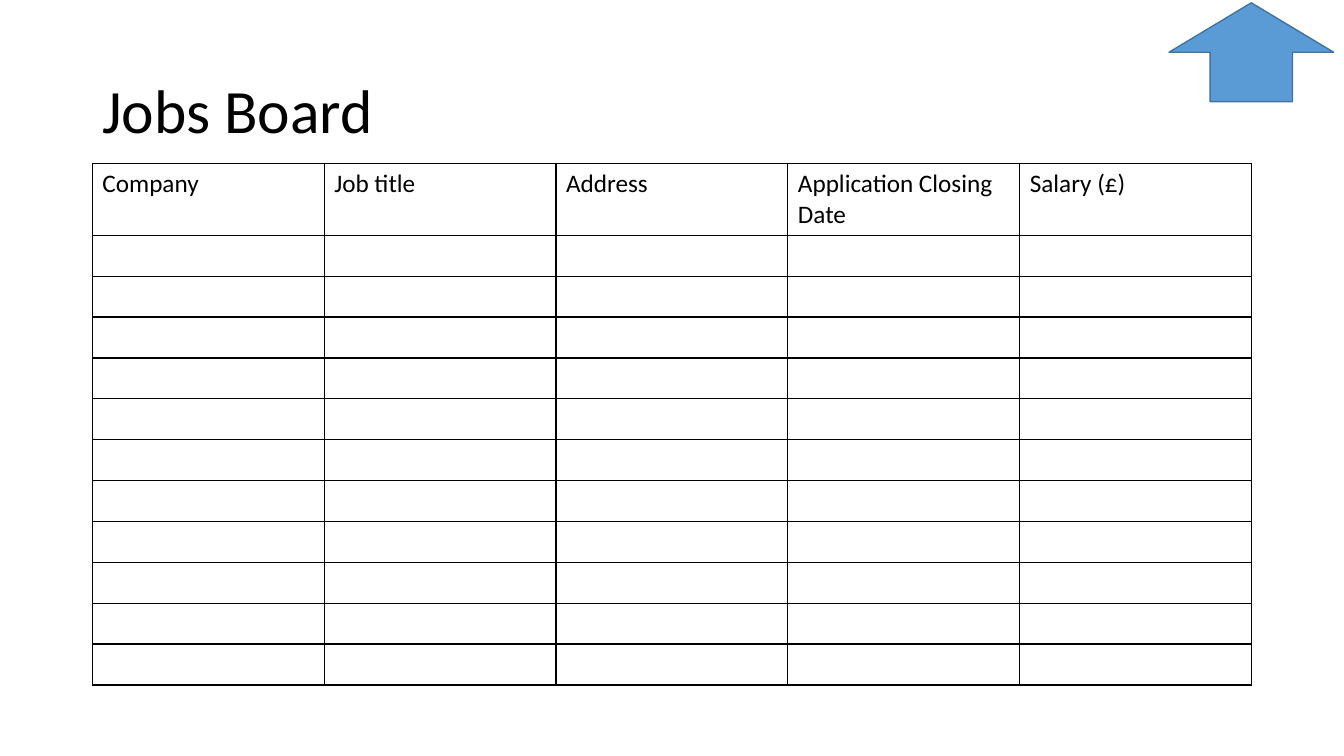
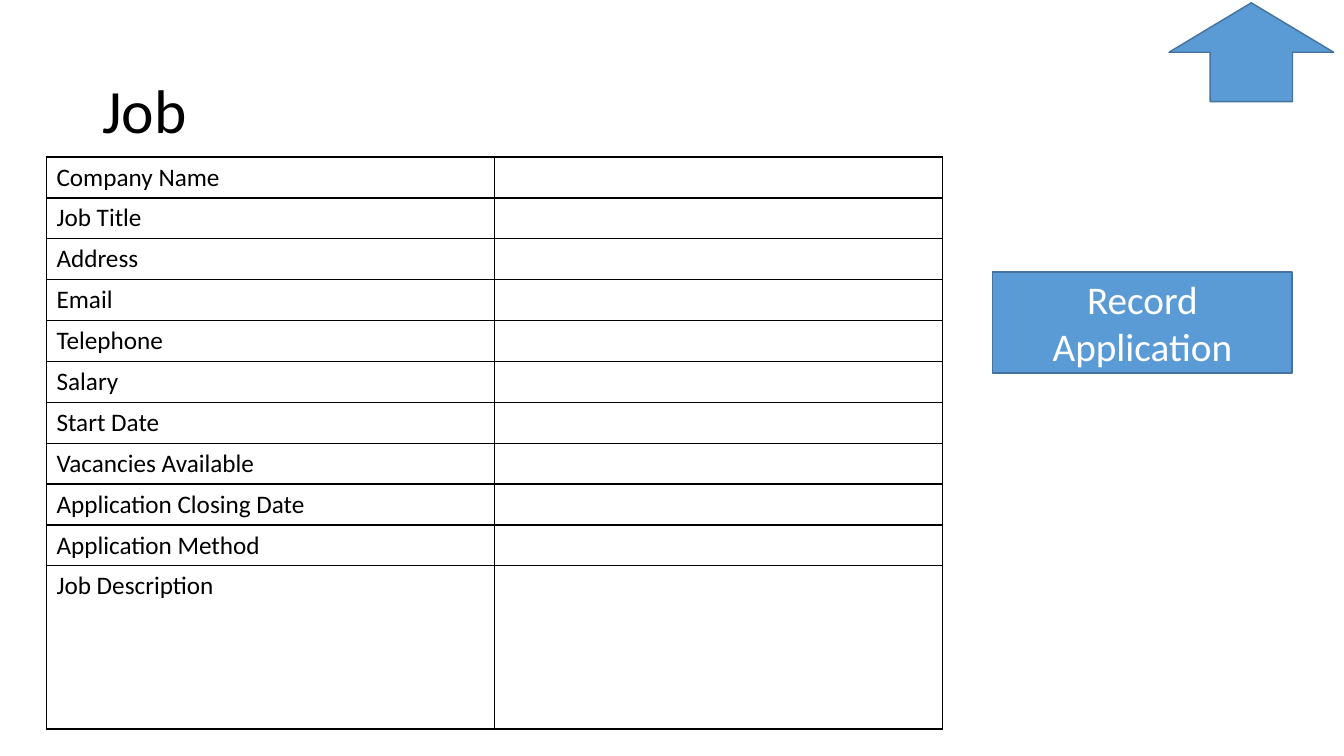
"""Build the jobs board and job detail slides."""
import dataclasses
import typing

import lxml.etree
import pptx
import pptx.dml.color
import pptx.enum.shapes
import pptx.enum.text
import pptx.oxml.ns
import pptx.util

Pt = pptx.util.Pt
RGBColor = pptx.dml.color.RGBColor
Shapes = pptx.enum.shapes.MSO_SHAPE
Align = pptx.enum.text.PP_ALIGN
Anchor = pptx.enum.text.MSO_ANCHOR

BLACK = RGBColor(0x00, 0x00, 0x00)
WHITE = RGBColor(0xFF, 0xFF, 0xFF)
BLUE = RGBColor(0x5B, 0x9B, 0xD5)
DARK_BLUE = RGBColor(0x43, 0x73, 0x9E)
FONT = "Calibri"
ROW_HEIGHT = 29.2
HEADER_HEIGHT = 51.4
DESCRIPTION_HEIGHT = 116.6
EMPTY_JOBS = 11

HEADINGS = ["Company", "Job title", "Address", "Application Closing Date", "Salary (£)"]
FIELDS = [
    "Company Name", "Job Title", "Address", "Email", "Telephone", "Salary", "Start Date",
    "Vacancies Available", "Application Closing Date", "Application Method", "Job Description",
]


@dataclasses.dataclass(frozen=True)
class Area:
    left: float
    top: float
    width: float
    height: float

    def lengths(self) -> list[pptx.util.Length]:
        return [Pt(value) for value in dataclasses.astuple(self)]


@dataclasses.dataclass(frozen=True)
class Grid:
    left: float
    top: float
    column_width: float
    row_heights: list[float]
    rows: list[list[str]]


@dataclasses.dataclass(frozen=True)
class Button:
    area: Area
    kind: Shapes
    label: str = ""


@dataclasses.dataclass(frozen=True)
class Page:
    title: str
    grid: Grid
    buttons: list[Button]


TITLE_AREA = Area(66, 28.75, 828, 104.4)
UP_ARROW = Button(Area(835, 2, 117.6, 70.6), Shapes.UP_ARROW)
RECORD = Button(Area(709, 194.2, 214, 72.4), Shapes.RECTANGLE, "Record Application")

JOBS_BOARD = Page(
    "Jobs Board",
    Grid(66, 116.7, 165.6, [HEADER_HEIGHT] + [ROW_HEIGHT] * EMPTY_JOBS,
         [HEADINGS] + [[""] * len(HEADINGS)] * EMPTY_JOBS),
    [UP_ARROW],
)
JOB = Page(
    "Job",
    Grid(33.2, 112.2, 320, [ROW_HEIGHT] * (len(FIELDS) - 1) + [DESCRIPTION_HEIGHT],
         [[field, ""] for field in FIELDS]),
    [RECORD, UP_ARROW],
)


def write_text(frame: typing.Any, text: str, *, size: float, color: RGBColor = BLACK,
               align: Align = Align.LEFT, anchor: Anchor = Anchor.TOP,
               spacing: float = 1.0) -> None:
    """Write one formatted paragraph into a text frame."""
    frame.word_wrap = True
    frame.vertical_anchor = anchor
    para = frame.paragraphs[0]
    para.alignment = align
    para.line_spacing = spacing
    span = para.add_run()
    span.text = text
    span.font.name = FONT
    span.font.size = Pt(size)
    span.font.bold = False
    span.font.color.rgb = color


def draw_borders(cell: typing.Any) -> None:
    """Draw a thin black line on each side of a cell."""
    properties = cell._tc.get_or_add_tcPr()
    qualify = pptx.oxml.ns.qn
    for index, side in enumerate(("lnL", "lnR", "lnT", "lnB")):
        line = lxml.etree.Element(qualify(f"a:{side}"), w=str(Pt(1)))
        fill = lxml.etree.SubElement(line, qualify("a:solidFill"))
        lxml.etree.SubElement(fill, qualify("a:srgbClr"), val=str(BLACK))
        properties.insert(index, line)


def draw_grid(slide: typing.Any, grid: Grid) -> None:
    """Draw a bordered table without fills."""
    columns = len(grid.rows[0])
    area = Area(grid.left, grid.top, columns * grid.column_width, sum(grid.row_heights))
    table = slide.shapes.add_table(len(grid.rows), columns, *area.lengths()).table
    table.first_row = False
    table.horz_banding = False
    for column in table.columns:
        column.width = Pt(grid.column_width)
    for row, height, texts in zip(table.rows, grid.row_heights, grid.rows):
        row.height = Pt(height)
        for cell, text in zip(row.cells, texts):
            cell.fill.background()
            draw_borders(cell)
            if text:
                write_text(cell.text_frame, text, size=18)


def draw_button(slide: typing.Any, button: Button) -> None:
    """Draw a blue shape with an optional centred label."""
    shape = slide.shapes.add_shape(button.kind, *button.area.lengths())
    shape.shadow.inherit = False
    shape.fill.solid()
    shape.fill.fore_color.rgb = BLUE
    shape.line.color.rgb = DARK_BLUE
    shape.line.width = Pt(1)
    if button.label:
        write_text(shape.text_frame, button.label, size=28, color=WHITE,
                   align=Align.CENTER, anchor=Anchor.MIDDLE)


def add_page(deck: typing.Any, page: Page) -> None:
    """Add a slide with its title, table and buttons."""
    slide = deck.slides.add_slide(deck.slide_layouts[6])
    box = slide.shapes.add_textbox(*TITLE_AREA.lengths())
    write_text(box.text_frame, page.title, size=44, anchor=Anchor.MIDDLE, spacing=0.9)
    draw_grid(slide, page.grid)
    for button in page.buttons:
        draw_button(slide, button)


def main() -> None:
    """Build and save the deck."""
    deck = pptx.Presentation()
    deck.slide_width = Pt(960)
    deck.slide_height = Pt(540)
    for page in (JOBS_BOARD, JOB):
        add_page(deck, page)
    deck.save("out.pptx")


if __name__ == "__main__":
    main()
